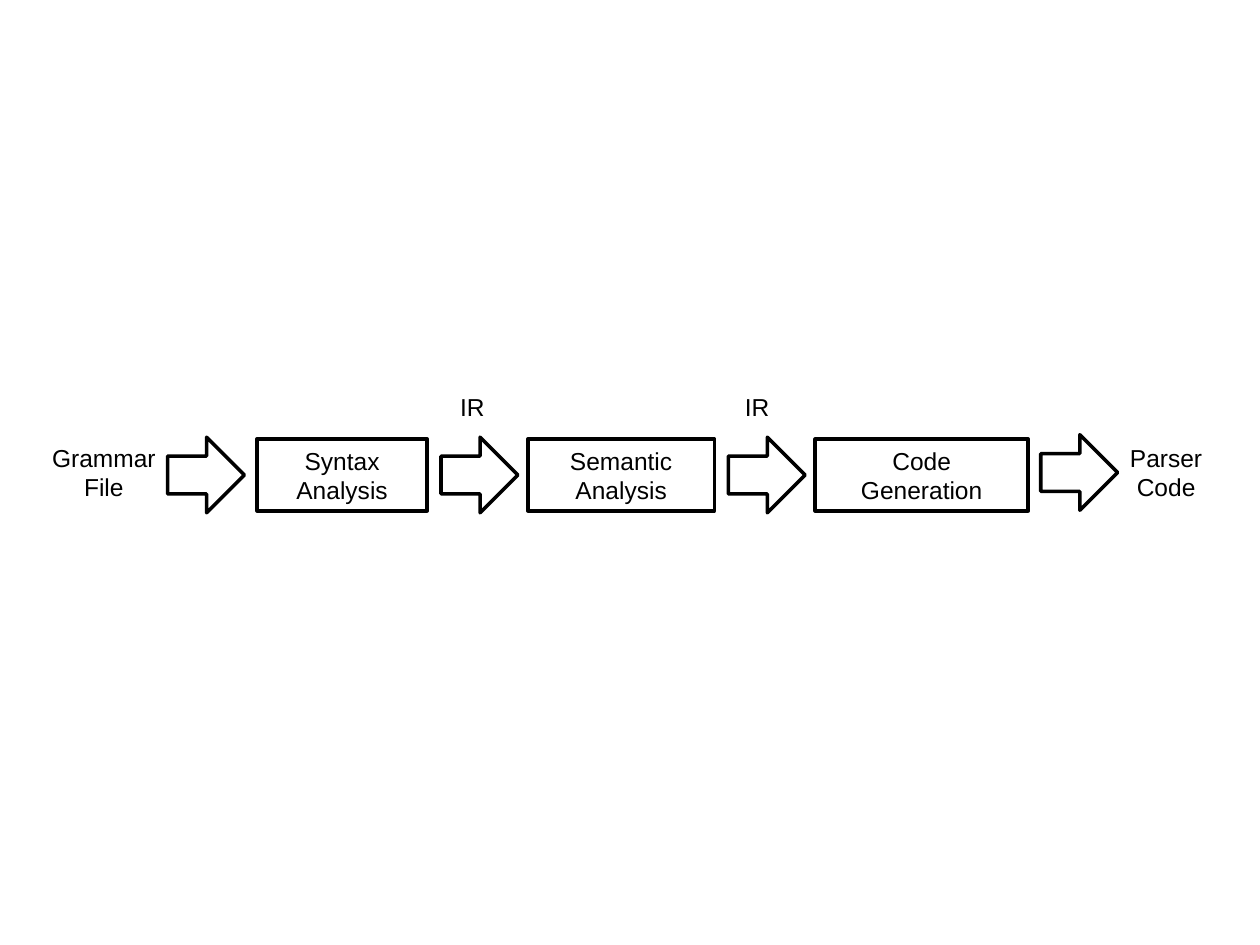
from pptx import Presentation
from pptx import util as u
from pptx.dml.color import RGBColor
from pptx.enum import shapes, text

BLACK, WHITE = "000000", "FFFFFF"
AXIS = 3.77
BOX_HEIGHT = 0.57
ARROW_WIDTH, ARROW_HEIGHT = 0.61, 0.6
LABEL_AXIS = 3.75
IR_AXIS = 3.23

# left, width, lines
STAGES = [
    (2.04, 1.35, ["Syntax", "Analysis"]),
    (4.19, 1.48, ["Semantic", "Analysis"]),
    (6.47, 1.69, ["Code", "Generation"]),
]
# left, vertical middle
ARROWS = [(1.33, AXIS), (3.5, AXIS), (5.78, AXIS), (8.26, LABEL_AXIS)]
# left, vertical middle, width, height, lines
LABELS = [
    (0.31, LABEL_AXIS, 1.03, BOX_HEIGHT, ["Grammar", "File"]),
    (3.55, IR_AXIS, 0.4, 0.34, ["IR"]),
    (5.81, IR_AXIS, 0.4, 0.34, ["IR"]),
    (8.86, LABEL_AXIS, 0.79, BOX_HEIGHT, ["Parser", "Code"]),
]


def color(value):
    return RGBColor.from_string(value)


def bounds(left, middle, width, height):
    """Return the position and size of an element centred on a horizontal axis."""
    return [u.Inches(n) for n in (left, middle - height / 2, width, height)]


def add_run(paragraph, words):
    paragraph.alignment = text.PP_ALIGN.CENTER
    run = paragraph.add_run()
    run.text = words
    run.font.name = "Arial"
    run.font.size = u.Pt(14)
    run.font.color.rgb = color(BLACK)


def add_outlined(parent, kind, left, middle, width, height):
    shape = parent.add_shape(kind, *bounds(left, middle, width, height))
    shape.shadow.inherit = False
    shape.fill.solid()
    shape.fill.fore_color.rgb = color(WHITE)
    shape.line.color.rgb = color(BLACK)
    shape.line.width = u.Pt(2)
    return shape


def add_stage(parent, left, width, lines):
    shape = add_outlined(parent, shapes.MSO_SHAPE.RECTANGLE,
                         left, AXIS, width, BOX_HEIGHT)
    frame = shape.text_frame
    frame.vertical_anchor = text.MSO_ANCHOR.MIDDLE
    for index, line in enumerate(lines):
        paragraph = frame.add_paragraph() if index else frame.paragraphs[0]
        add_run(paragraph, line)


def add_label(parent, left, middle, width, height, lines):
    frame = parent.add_textbox(*bounds(left, middle, width, height)).text_frame
    frame.word_wrap = False
    frame.auto_size = text.MSO_AUTO_SIZE.SHAPE_TO_FIT_TEXT
    paragraph = frame.paragraphs[0]
    for index, line in enumerate(lines):
        if index:
            paragraph.add_line_break()
        add_run(paragraph, line)


def main():
    presentation = Presentation()
    presentation.slide_width = u.Inches(10)
    presentation.slide_height = u.Inches(7.5)
    slide = presentation.slides.add_slide(presentation.slide_layouts[6])
    pipeline = slide.shapes.add_group_shape().shapes

    for stage in STAGES:
        add_stage(pipeline, *stage)
    for left, middle in ARROWS:
        add_outlined(pipeline, shapes.MSO_SHAPE.RIGHT_ARROW,
                     left, middle, ARROW_WIDTH, ARROW_HEIGHT)
    for label in LABELS:
        add_label(pipeline, *label)

    presentation.save("out.pptx")


if __name__ == "__main__":
    main()
